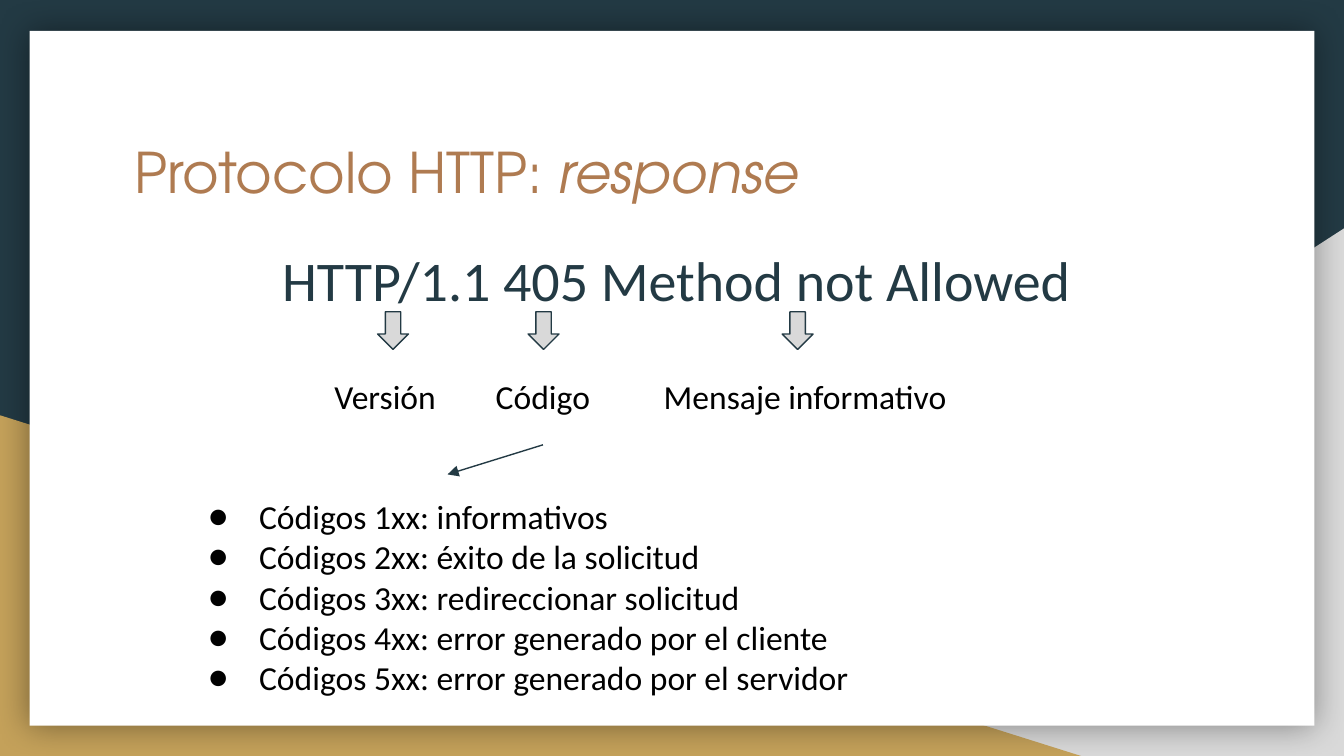
from dataclasses import dataclass

from lxml import etree
from pptx import Presentation
from pptx.dml.color import RGBColor
from pptx.enum import shapes, text
from pptx.oxml import ns
from pptx.util import Inches, Pt

COLORS = {"navy": "233A44", "gold": "C4A15A", "gray": "D9D9D9",
          "white": "FFFFFF", "copper": "AF7B51", "black": "000000"}
BODY_FONT, TITLE_FONT = "Calibri", "TeX Gyre Adventor"
BIG, NORMAL = 30, 18
WIDTH = 10
HEIGHT = WIDTH * 9 / 16
ARROW_TOP, ARROW_W, ARROW_H = 2.32, 0.23, 0.28
LABEL_TOP, LABEL_H = 2.7, 0.6


@dataclass
class Part:
    """A piece of the status line: its arrow and the label below it."""
    label: str
    arrow_left: float
    label_left: float
    label_width: float
    align: text.PP_ALIGN = text.PP_ALIGN.LEFT


PARTS = [
    Part("Versión", 2.81, 2.39, 1.06),
    Part("Código", 3.93, 3.51, 1.06, text.PP_ALIGN.CENTER),
    Part("Mensaje informativo", 5.82, 4.84, 2.35),
]
CODE_MEANINGS = ["informativos", "éxito de la solicitud", "redireccionar solicitud",
                 "error generado por el cliente", "error generado por el servidor"]


def color(name: str) -> RGBColor:
    return RGBColor.from_string(COLORS[name])


def add_run(paragraph, words: str, size: int, ink: str = "black",
            font: str = BODY_FONT, italic: bool = False) -> None:
    run = paragraph.add_run()
    run.text = words
    run.font.size, run.font.name, run.font.italic = Pt(size), font, italic
    run.font.color.rgb = color(ink)


def set_frame(frame) -> None:
    frame.word_wrap = True
    frame.auto_size = text.MSO_AUTO_SIZE.NONE
    frame.vertical_anchor = text.MSO_ANCHOR.TOP
    frame.margin_left = frame.margin_right = Inches(0.1)
    frame.margin_top = frame.margin_bottom = Inches(0.1)


def add_frame(slide, left: float, top: float, width: float, height: float):
    box = slide.shapes.add_textbox(*map(Inches, (left, top, width, height)))
    set_frame(box.text_frame)
    return box.text_frame


def add_block(slide, kind, left: float, top: float, width: float, height: float,
              fill: str, outline: str = ""):
    block = slide.shapes.add_shape(kind, *map(Inches, (left, top, width, height)))
    block.shadow.inherit = False
    block.fill.solid()
    block.fill.fore_color.rgb = color(fill)
    if outline:
        block.line.color.rgb = color(outline)
        block.line.width = Pt(0.75)
    else:
        block.line.fill.background()
    return block


def add_glow_shadow(block) -> None:
    effects = block._element.spPr.find(ns.qn("a:effectLst"))
    shadow = etree.SubElement(effects, ns.qn("a:outerShdw"), blurRad=str(Pt(18)),
                              dist="0", dir="0", algn="ctr", rotWithShape="0")
    tint = etree.SubElement(shadow, ns.qn("a:srgbClr"), val=COLORS["black"])
    etree.SubElement(tint, ns.qn("a:alpha"), val="40000")


def add_bullet(paragraph) -> None:
    props = paragraph._p.get_or_add_pPr()
    props.set("marL", str(Inches(0.5)))
    props.set("indent", str(Inches(-0.38)))
    tint = etree.SubElement(props, ns.qn("a:buClr"))
    etree.SubElement(tint, ns.qn("a:srgbClr"), val=COLORS["black"])
    etree.SubElement(props, ns.qn("a:buSzPts"), val=str(NORMAL * 100))
    etree.SubElement(props, ns.qn("a:buFont"), typeface=BODY_FONT)
    etree.SubElement(props, ns.qn("a:buChar"), char="●")


deck = Presentation()
deck.slide_width, deck.slide_height = Inches(WIDTH), Inches(HEIGHT)
slide = deck.slides.add_slide(deck.slide_layouts[5])

# Backdrop: dark ground, two corner triangles, white panel
slide.background.fill.solid()
slide.background.fill.fore_color.rgb = color("navy")
triangle = shapes.MSO_SHAPE.RIGHT_TRIANGLE
right_corner = add_block(slide, triangle, 3.92, 1.7, 6.08, 3.93, "gray")
right_corner._element.spPr.xfrm.set("flipH", "1")
add_block(slide, triangle, 0, 3.09, 8.06, 2.54, "gold")
panel = add_block(slide, shapes.MSO_SHAPE.RECTANGLE, 0.22, 0.23, 9.56, 5.17, "white")
add_glow_shadow(panel)

# Title, raised above the panel
title = slide.shapes.title
title.left, title.top, title.width, title.height = map(Inches, (0.9, 0.92, 8.21, 1.04))
slide.shapes._spTree.append(title._element)
set_frame(title.text_frame)
heading = title.text_frame.paragraphs[0]
heading.alignment = text.PP_ALIGN.LEFT
add_run(heading, "Protocolo HTTP: ", BIG, "copper", TITLE_FONT)
add_run(heading, "response", BIG, "copper", TITLE_FONT, italic=True)

# Status line
status = add_frame(slide, 2, 1.65, 6.08, 0.63).paragraphs[0]
status.line_spacing, status.space_after = 1.15, Pt(16)
add_run(status, "HTTP/1.1 405 Method not Allowed", BIG, "navy")

# Arrows and labels for its parts
for part in PARTS:
    add_block(slide, shapes.MSO_SHAPE.DOWN_ARROW, part.arrow_left, ARROW_TOP,
              ARROW_W, ARROW_H, "gray", "navy")
    label = add_frame(slide, part.label_left, LABEL_TOP, part.label_width, LABEL_H).paragraphs[0]
    label.alignment = part.align
    add_run(label, part.label, NORMAL)

# Code families
families = add_frame(slide, 1.33, 3.59, 6.96, 1.6)
for number, meaning in enumerate(CODE_MEANINGS, start=1):
    family = families.paragraphs[0] if number == 1 else families.add_paragraph()
    add_bullet(family)
    add_run(family, f"Códigos {number}xx: {meaning}", NORMAL)

# Pointer from the code to its families
pointer = slide.shapes.add_connector(shapes.MSO_CONNECTOR.STRAIGHT,
                                     *map(Inches, (4.04, 3.31, 3.33, 3.53)))
pointer.line.color.rgb = color("navy")
pointer.line.width = Pt(0.75)
etree.SubElement(pointer.line._get_or_add_ln(), ns.qn("a:tailEnd"), type="triangle")
etree.SubElement(pointer._element.spPr, ns.qn("a:effectLst"))

deck.save("out.pptx")
